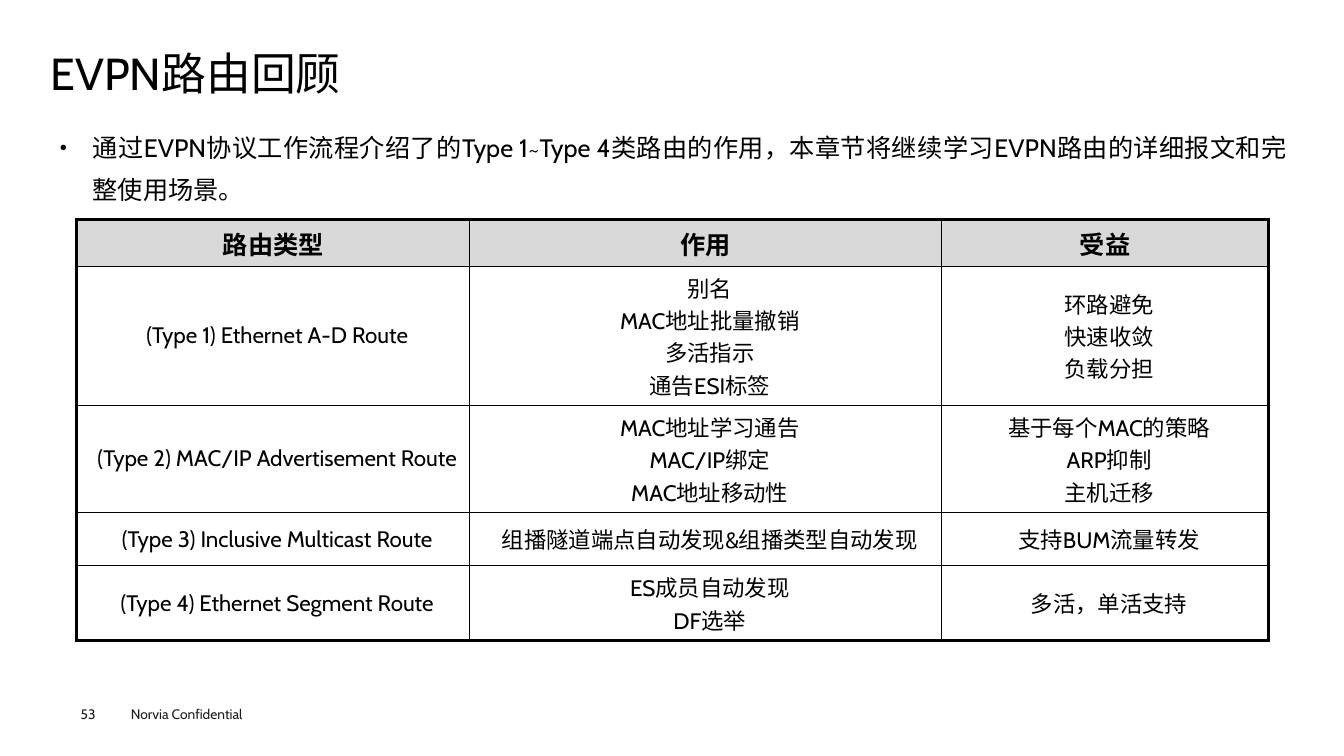
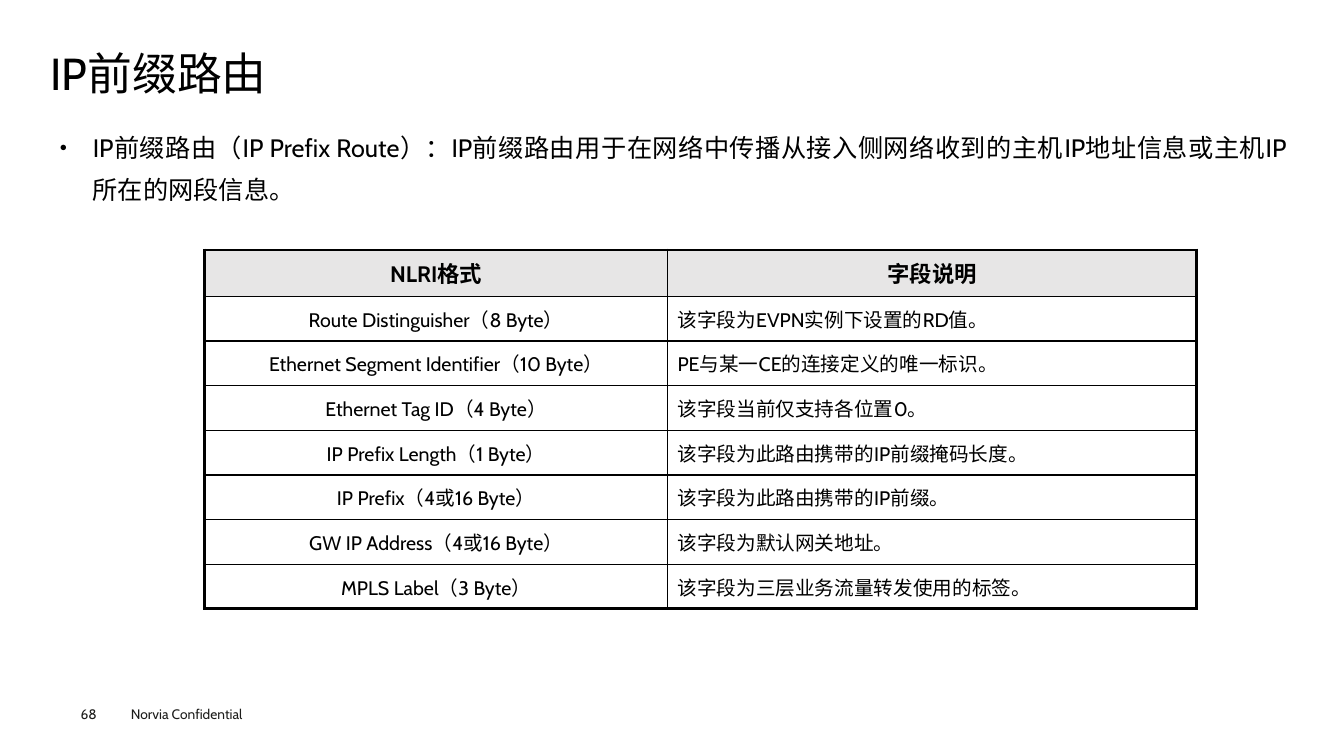
from dataclasses import dataclass
from lxml import etree
from pptx import Presentation
from pptx.dml.color import RGBColor
from pptx.enum.text import MSO_ANCHOR, MSO_AUTO_SIZE, PP_ALIGN
from pptx.oxml.ns import qn
from pptx.util import Inches, Pt

LEFT, CENTER, JUSTIFY = PP_ALIGN.LEFT, PP_ALIGN.CENTER, PP_ALIGN.JUSTIFY
MIDDLE, TOP = MSO_ANCHOR.MIDDLE, MSO_ANCHOR.TOP
NO_FIT = MSO_AUTO_SIZE.NONE


@dataclass(frozen=True)
class Theme:
    font: str = "Cabin"
    ink: str = "000000"
    footer_ink: str = "1D1D1B"
    title_size: float = 32
    body_size: float = 18
    footer_size: float = 9.8
    thick: float = 2.25
    thin: float = 1


theme = Theme()

# Slide size; every length below is a percentage of it
deck = Presentation()
deck.slide_width, deck.slide_height = Inches(13.33), Inches(7.5)
column, row_unit = deck.slide_width / 100, deck.slide_height / 100

TITLE_AREA = (3.75, 6.53, 92.65, 7.07)
BODY_AREA = (3.75, 15.33, 92.65, 71.2)
FOOTER_AREA = (9, 92.67, 12, 3.6)
NUMBER_AREA = (6, 93.33, 4.13, 2.13)
NO_INSETS = (0, 0)
INSETS = (0.09, 0.04)
FOOTER_TEXT = "Norvia Confidential"

pages = [
    {
        "number": "53",
        "title": "EVPN路由回顾",
        "body": "通过EVPN协议工作流程介绍了的Type 1~Type 4类路由的作用，"
                "本章节将继续学习EVPN路由的详细报文和完整使用场景。",
        "corner": (5.7, 29.07),
        "widths": (29.26, 35.11, 24.31),
        "heights": (5.33, 14.93, 11.33, 7.07, 8),
        "aligns": (CENTER, CENTER, CENTER),
        "indent": 0.08,
        "header_fill": "D9D9D9",
        "sizes": (18, 16),
        "rows": [
            ("路由类型", "作用", "受益"),
            ("(Type 1) Ethernet A-D Route",
             "别名\vMAC地址批量撤销\v多活指示\v通告ESI标签",
             "环路避免\v快速收敛\v负载分担"),
            ("(Type 2) MAC/IP Advertisement Route",
             "MAC地址学习通告\vMAC/IP绑定\vMAC地址移动性",
             "基于每个MAC的策略\vARP抑制\v主机迁移"),
            ("(Type 3) Inclusive Multicast Route",
             "组播隧道端点自动发现&组播类型自动发现", "支持BUM流量转发"),
            ("(Type 4) Ethernet Segment Route",
             "ES成员自动发现\nDF选举", "多活，单活支持"),
        ],
    },
    {
        "number": "68",
        "title": "IP前缀路由",
        "body": "IP前缀路由（IP Prefix Route）：IP前缀路由用于在网络中传播"
                "从接入侧网络收到的主机IP地址信息或主机IP所在的网段信息。",
        "corner": (15.23, 33.07),
        "widths": (34.43, 39.38),
        "heights": (6.13,) + (5.91,) * 7,
        "aligns": (CENTER, LEFT),
        "indent": 0,
        "header_fill": "E7E6E6",
        "sizes": (16, 14),
        "rows": [
            ("NLRI格式", "字段说明"),
            ("Route Distinguisher（8 Byte）", "该字段为EVPN实例下设置的RD值。"),
            ("Ethernet Segment Identifier（10 Byte）", "PE与某一CE的连接定义的唯一标识。"),
            ("Ethernet Tag ID（4 Byte）", "该字段当前仅支持各位置0。"),
            ("IP Prefix Length（1 Byte）", "该字段为此路由携带的IP前缀掩码长度。"),
            ("IP Prefix（4或16 Byte）", "该字段为此路由携带的IP前缀。"),
            ("GW IP Address（4或16 Byte）", "该字段为默认网关地址。"),
            ("MPLS Label（3 Byte）", "该字段为三层业务流量转发使用的标签。"),
        ],
    },
]


def write(frame, text, size, color=theme.ink, align=LEFT, bold=False):
    """Fill a text frame and format all its runs."""
    frame.text = text
    for para in frame.paragraphs:
        para.alignment = align
        for span in para.runs:
            span.font.name = theme.font
            span.font.size = Pt(size)
            span.font.bold = bold
            span.font.color.rgb = RGBColor.from_string(color)


def place(box, area, insets, anchor):
    """Put a box on the percentage grid and set its margins."""
    left, top, width, height = area
    box.left, box.width = int(left * column), int(width * column)
    box.top, box.height = int(top * row_unit), int(height * row_unit)
    frame = box.text_frame
    frame.margin_left = frame.margin_right = Inches(insets[0])
    frame.margin_top = frame.margin_bottom = Inches(insets[1])
    frame.word_wrap = True
    frame.auto_size = NO_FIT
    frame.vertical_anchor = anchor


# Shared title and body areas live on the layout
layout = deck.slide_layouts[1]
place(layout.placeholders[0], TITLE_AREA, NO_INSETS, MIDDLE)
place(layout.placeholders[1], BODY_AREA, INSETS, TOP)

for content in pages:
    page = deck.slides.add_slide(layout)

    # Title
    title = page.shapes.title.text_frame
    write(title, content["title"], theme.title_size)
    title.paragraphs[0].line_spacing = 0.9

    # Bulleted introduction
    body = page.placeholders[1].text_frame
    write(body, content["body"], theme.body_size, align=JUSTIFY)
    para = body.paragraphs[0]
    para.line_spacing = 1.4
    para.space_before = Pt(0)
    properties = para._p.get_or_add_pPr()
    properties.set("marL", str(Inches(0.33)))
    properties.set("indent", str(-Inches(0.33)))
    etree.SubElement(properties, qn("a:buSzPct"), val="50000")
    etree.SubElement(properties, qn("a:buChar"), char="●")

    # Footer and page number
    for text, area, insets, anchor in (
        (FOOTER_TEXT, FOOTER_AREA, (0.1, 0.05), TOP),
        (content["number"], NUMBER_AREA, NO_INSETS, TOP),
    ):
        box = page.shapes.add_textbox(0, 0, 0, 0)
        place(box, area, insets, anchor)
        write(box.text_frame, text, theme.footer_size, theme.footer_ink)

    # Table grid
    rows, widths, heights = content["rows"], content["widths"], content["heights"]
    left, top = content["corner"]
    table = page.shapes.add_table(
        len(rows), len(widths), int(left * column), int(top * row_unit),
        int(sum(widths) * column), int(sum(heights) * row_unit)).table
    table.first_row = table.horz_banding = False
    for table_column, width in zip(table.columns, widths):
        table_column.width = int(width * column)
    for table_row, height in zip(table.rows, heights):
        table_row.height = int(height * row_unit)

    # Table cells: thick outer frame, thin inner rules, shaded header
    for r, texts in enumerate(rows):
        header = r == 0
        for c, text in enumerate(texts):
            cell = table.cell(r, c)
            cell.vertical_anchor = MIDDLE
            write(cell.text_frame, text, content["sizes"][0 if header else 1],
                  align=CENTER if header else content["aligns"][c], bold=header)
            if not header:
                for para in cell.text_frame.paragraphs:
                    para._p.get_or_add_pPr().set("marL", str(Inches(content["indent"])))

            outer_sides = {"lnL": c == 0, "lnR": c == len(widths) - 1,
                           "lnT": header, "lnB": r == len(rows) - 1}
            cell_properties = cell._tc.get_or_add_tcPr()
            for side, outer in outer_sides.items():
                weight = Pt(theme.thick if outer else theme.thin)
                border = etree.SubElement(cell_properties, qn("a:" + side), w=str(weight))
                paint = etree.SubElement(border, qn("a:solidFill"))
                etree.SubElement(paint, qn("a:srgbClr"), val=theme.ink)

            if header:
                cell.fill.solid()
                cell.fill.fore_color.rgb = RGBColor.from_string(content["header_fill"])
            else:
                cell.fill.background()

deck.save("out.pptx")
